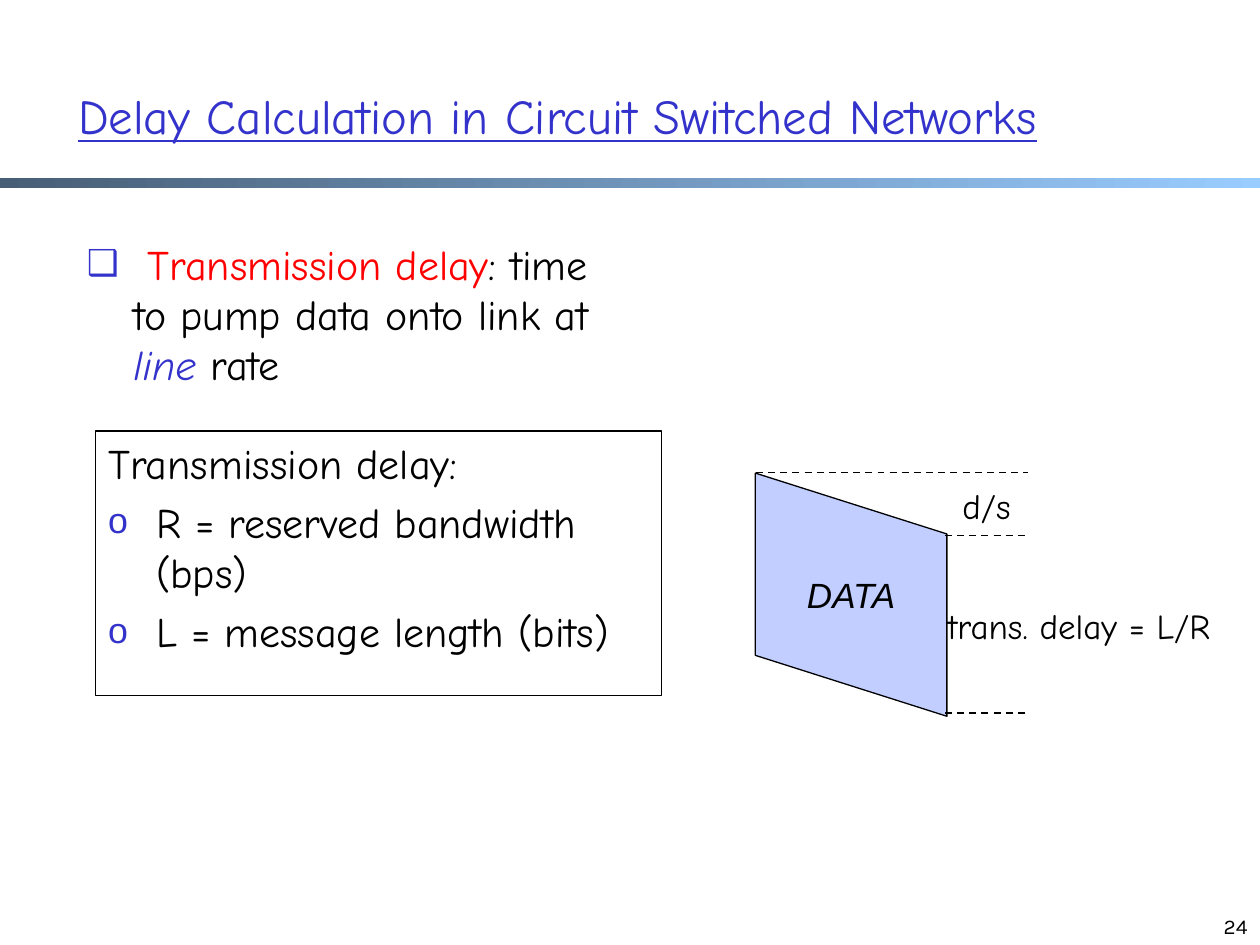
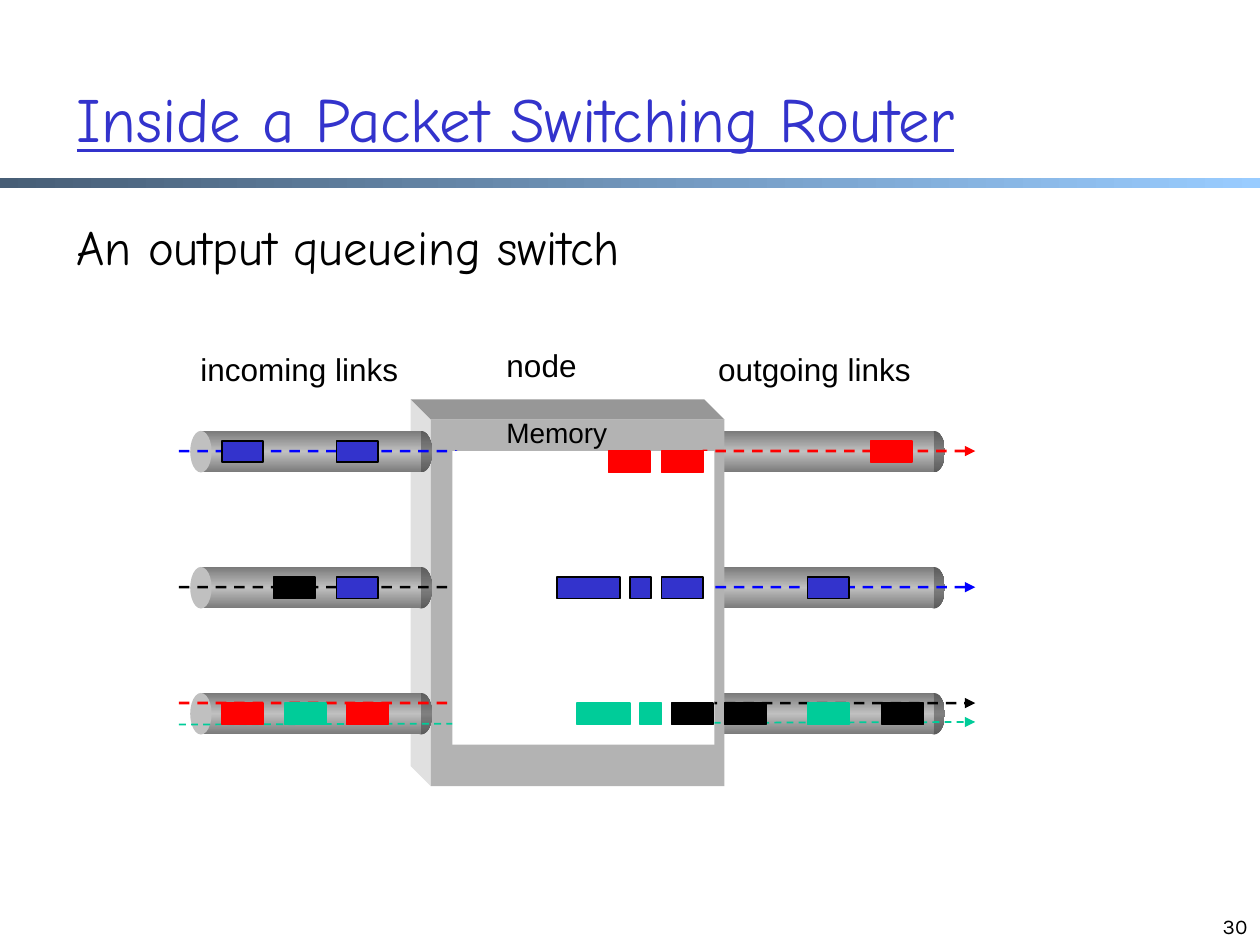
"""Build two lecture slides on circuit-switching delay and router queueing."""
import lxml.etree
import pptx
import pptx.dml.color
import pptx.enum.dml
import pptx.enum.shapes
import pptx.enum.text
import pptx.oxml.ns
import pptx.util

Inches = pptx.util.Inches
Pt = pptx.util.Pt
qn = pptx.oxml.ns.qn
SHAPE = pptx.enum.shapes.MSO_SHAPE
ANCHOR = pptx.enum.text.MSO_ANCHOR
ALIGN = pptx.enum.text.PP_ALIGN

COLORS = {
    "title": "3333CC", "black": "000000", "white": "FFFFFF", "red": "FF0000",
    "blue": "0000FF", "packet": "3333CC", "green": "00CC99", "data": "C1CEFF",
    "pipe": "C0C0C0", "front": "B3B3B3", "side": "E0E0E0", "top": "979797",
}
BAND = ["475E76", "99CCFF"]
PIPE_BODY = ["7A7A7A", "C0C0C0", "7A7A7A"]
PIPE_END = ["5B5B5B", "808080", "5B5B5B"]
FONT = "Comic Neue"
LINK_TOPS = [3.42, 4.5, 5.5]


def rgb(name):
    return pptx.dml.color.RGBColor.from_string(COLORS[name])


def sub(parent, tag, **attrs):
    return lxml.etree.SubElement(parent, qn(tag), attrs)


def add_run(p, text, size, color="black", font=FONT, italic=False, underline=False):
    r = p.add_run()
    r.text = text
    r.font.size, r.font.name = Pt(size), font
    r.font.color.rgb = rgb(color)
    r.font.italic, r.font.underline = italic, underline


def hang(p, indent, bullet=None):
    pPr = p._p.get_or_add_pPr()
    pPr.set("marL", str(Inches(indent)))
    pPr.set("indent", str(-Inches(indent)))
    if bullet:
        sub(sub(pPr, "a:buClr"), "a:srgbClr", val=COLORS["title"])
        sub(pPr, "a:buSzPct", val="85000")
        sub(pPr, "a:buFont", typeface="Arial")
        sub(pPr, "a:buChar", char=bullet)
    else:
        sub(pPr, "a:buNone")


def set_margins(tf, x, y):
    tf.margin_left = tf.margin_right = Inches(x)
    tf.margin_top = tf.margin_bottom = Inches(y)


def add_text(slide, box, text=None, size=20, font=FONT, wrap=False, margins=(0.1, 0.05)):
    sp = slide.shapes.add_textbox(*map(Inches, box))
    tf = sp.text_frame
    tf.word_wrap = wrap
    set_margins(tf, *margins)
    if text:
        add_run(tf.paragraphs[0], text, size, font=font)
    return tf


def style_line(sp, color, width, dash=False, arrow=False):
    sp.line.color.rgb = rgb(color)
    sp.line.width = Pt(width)
    if dash:
        sp.line.dash_style = pptx.enum.dml.MSO_LINE.DASH
    if arrow:
        sub(sp.line._get_or_add_ln(), "a:tailEnd", type="triangle")


def paint(sp, fill=None, line=None, width=1):
    sp.shadow.inherit = False
    if fill:
        sp.fill.solid()
        sp.fill.fore_color.rgb = rgb(fill)
    else:
        sp.fill.background()
    if line:
        style_line(sp, line, width)
    else:
        sp.line.fill.background()


def add_block(shapes, kind, box, fill=None, line=None, width=1):
    sp = shapes.add_shape(kind, *map(Inches, box))
    paint(sp, fill, line, width)
    return sp


def add_gradient(shapes, kind, box, stops, angle):
    sp = add_block(shapes, kind, box)
    sp.fill.gradient()
    sp.fill.gradient_angle = angle
    gs_list = sp._element.spPr.find(qn("a:gradFill")).find(qn("a:gsLst"))
    for gs in list(gs_list):
        gs_list.remove(gs)
    for i, color in enumerate(stops):
        gs = sub(gs_list, "a:gs", pos=str(100000 * i // (len(stops) - 1)))
        sub(gs, "a:srgbClr", val=color)


def add_line(slide, start, end, color, arrow=False):
    ends = map(Inches, (*start, *end))
    cx = slide.shapes.add_connector(pptx.enum.shapes.MSO_CONNECTOR.STRAIGHT, *ends)
    style_line(cx, color, 1, dash=True, arrow=arrow)
    sub(cx._element.spPr, "a:effectLst")


def add_freeform(slide, points, close):
    pts = [(Inches(x), Inches(y)) for x, y in points]
    fb = slide.shapes.build_freeform(*pts[0], scale=1.0)
    fb.add_line_segments(pts[1:], close=close)
    return fb.convert_to_shape()


def add_slide(prs, title, size, box, number):
    slide = prs.slides.add_slide(prs.slide_layouts[5])
    add_gradient(slide.shapes, SHAPE.RECTANGLE, (0, 1.41, 10, 0.08), BAND, 0)
    tf = add_text(slide, (7.67, 7, 2.33, 0.5), str(number), 12, "Karla", wrap=True)
    tf.vertical_anchor = ANCHOR.BOTTOM
    tf.paragraphs[0].alignment = ALIGN.RIGHT

    sp = slide.shapes.title
    sp.left, sp.top, sp.width, sp.height = map(Inches, box)
    tf = sp.text_frame
    tf.auto_size = pptx.enum.text.MSO_AUTO_SIZE.NONE
    tf.vertical_anchor = ANCHOR.MIDDLE
    tf.paragraphs[0].alignment = ALIGN.LEFT
    add_run(tf.paragraphs[0], title, size, "title", underline=True)
    return slide


def add_pipe(slide, left, top):
    shapes = slide.shapes.add_group_shape().shapes
    add_gradient(shapes, SHAPE.OVAL, (left + 1.75, top, 0.17, 0.33), PIPE_END, 90)
    add_gradient(shapes, SHAPE.RECTANGLE, (left + 0.08, top, 1.75, 0.33), PIPE_BODY, 90)
    add_block(shapes, SHAPE.OVAL, (left, top, 0.17, 0.33), "pipe")


def add_node(slide):
    left, top, right, bottom, depth = 3.42, 3.33, 5.75, 6.24, 0.16
    corner = (left - depth, top - depth)
    side = [corner, (left, top), (left, bottom), (left - depth, bottom - depth)]
    lid = [corner, (right - depth, top - depth), (right, top), (left, top)]
    for points, color in ((side, "side"), (lid, "top")):
        paint(add_freeform(slide, points, True), color)
    add_block(slide.shapes, SHAPE.RECTANGLE, (left, top, right - left, bottom - top), "front")


def add_flow(slide, points, color):
    sp = add_freeform(slide, points, False)
    paint(sp)
    style_line(sp, color, 1.5, dash=True, arrow=True)


def add_packets(slide, fill, line, top, packets):
    for left, width in packets:
        add_block(slide.shapes, SHAPE.RECTANGLE, (left, top, width, 0.17), fill, line)


def build_delay_slide(prs):
    slide = add_slide(prs, "Delay Calculation in Circuit Switched Networks", 27.9,
                      (0.52, 0.29, 8.97, 1.25), 24)

    sp = add_block(slide.shapes, SHAPE.RECTANGLE, (0.76, 3.42, 4.49, 2.1), None, "black", 0.75)
    tf = sp.text_frame
    tf.vertical_anchor = ANCHOR.TOP
    terms = [("Transmission delay:", None), ("R = reserved bandwidth (bps)", "o"),
             ("L = message length (bits)", "o")]
    for i, (text, bullet) in enumerate(terms):
        p = tf.add_paragraph() if i else tf.paragraphs[0]
        hang(p, 0.38, bullet)
        p.alignment = ALIGN.LEFT
        if i:
            p.space_before = Pt(5)
        add_run(p, text, 24)

    sp = add_block(slide.shapes, SHAPE.PARALLELOGRAM, (5.79, 3.96, 1.93, 1.52),
                   "data", "black", 0.75)
    sp.rotation = 90
    sp.adjustments[0] = 0.318
    tf = sp.text_frame
    tf.word_wrap = False
    tf.vertical_anchor = ANCHOR.MIDDLE
    tf._txBody.bodyPr.set("vert", "vert270")
    tf.paragraphs[0].alignment = ALIGN.CENTER
    add_run(tf.paragraphs[0], "DATA", 20, font="Arial", italic=True)

    for left, y in ((6, 3.75), (7.5, 4.25), (7.5, 5.66)):
        add_line(slide, (left, y), (8.16, y), "black")
    add_text(slide, (7.54, 3.8, 0.64, 0.43), "d/s")
    add_text(slide, (7.42, 4.75, 2.57, 0.44), "trans. delay = L/R")

    p = add_text(slide, (0.59, 1.84, 4.49, 1.31), wrap=True).paragraphs[0]
    hang(p, 0.37, "❑")
    add_run(p, " Transmission delay", 24, "red")
    add_run(p, ": time to pump data onto link at ", 24)
    add_run(p, "line ", 24, "title", italic=True)
    add_run(p, "rate", 24)


def build_router_slide(prs):
    slide = add_slide(prs, "Inside a Packet Switching Router", 35.9,
                      (0.51, 0.51, 8.5, 0.84), 30)
    add_text(slide, (0.51, 1.67, 8.5, 0.54), "An output queueing switch", 27.9, wrap=True)

    for top in LINK_TOPS:
        add_pipe(slide, 5.58, top)
    add_node(slide)
    for top in LINK_TOPS:
        add_pipe(slide, 1.51, top)
    for text, box in (("incoming links", (1.59, 2.78, 1.58, 0.3)),
                      ("outgoing links", (5.7, 2.78, 1.54, 0.3)),
                      ("node", (4.02, 2.75, 0.56, 0.3))):
        add_text(slide, box, text, 18, "Arial", margins=(0, 0))

    add_line(slide, (1.42, 5.75), (7.74, 5.73), "green", arrow=True)
    for color, y_in, x_in, x_out, y_out in (("red", 5.58, 3.67, 5.58, 3.58),
                                            ("blue", 3.58, 3.61, 5.64, 4.66),
                                            ("black", 4.66, 3.59, 5.67, 5.58)):
        add_flow(slide, [(1.42, y_in), (x_in, y_in), (x_out, y_out), (7.74, y_out)], color)
    add_block(slide.shapes, SHAPE.RECTANGLE, (3.59, 3.58, 2.08, 2.33), "white")

    for fill, line, top, packets in (
        ("packet", "black", 3.5, [(1.76, 0.33), (2.67, 0.33)]),
        ("packet", "black", 4.58,
         [(2.67, 0.33), (4.42, 0.5), (5, 0.17), (5.25, 0.33), (6.41, 0.33)]),
        ("black", "black", 4.58, [(2.17, 0.33)]),
        ("black", "black", 5.58, [(5.33, 0.33), (5.75, 0.33), (7, 0.33)]),
        ("red", "red", 5.58, [(1.76, 0.33), (2.75, 0.33)]),
        ("red", "red", 3.58, [(4.83, 0.33), (5.25, 0.33)]),
        ("red", "red", 3.5, [(6.91, 0.33)]),
        ("green", "green", 5.58, [(2.26, 0.33), (4.58, 0.42), (5.08, 0.17), (6.41, 0.33)]),
    ):
        add_packets(slide, fill, line, top, packets)
    add_text(slide, (3.92, 3.25, 1, 0.36), "Memory", 16, "Arial")


def main():
    prs = pptx.Presentation()
    prs.slide_width, prs.slide_height = Inches(10), Inches(7.5)
    build_delay_slide(prs)
    build_router_slide(prs)
    prs.save("out.pptx")


if __name__ == "__main__":
    main()
